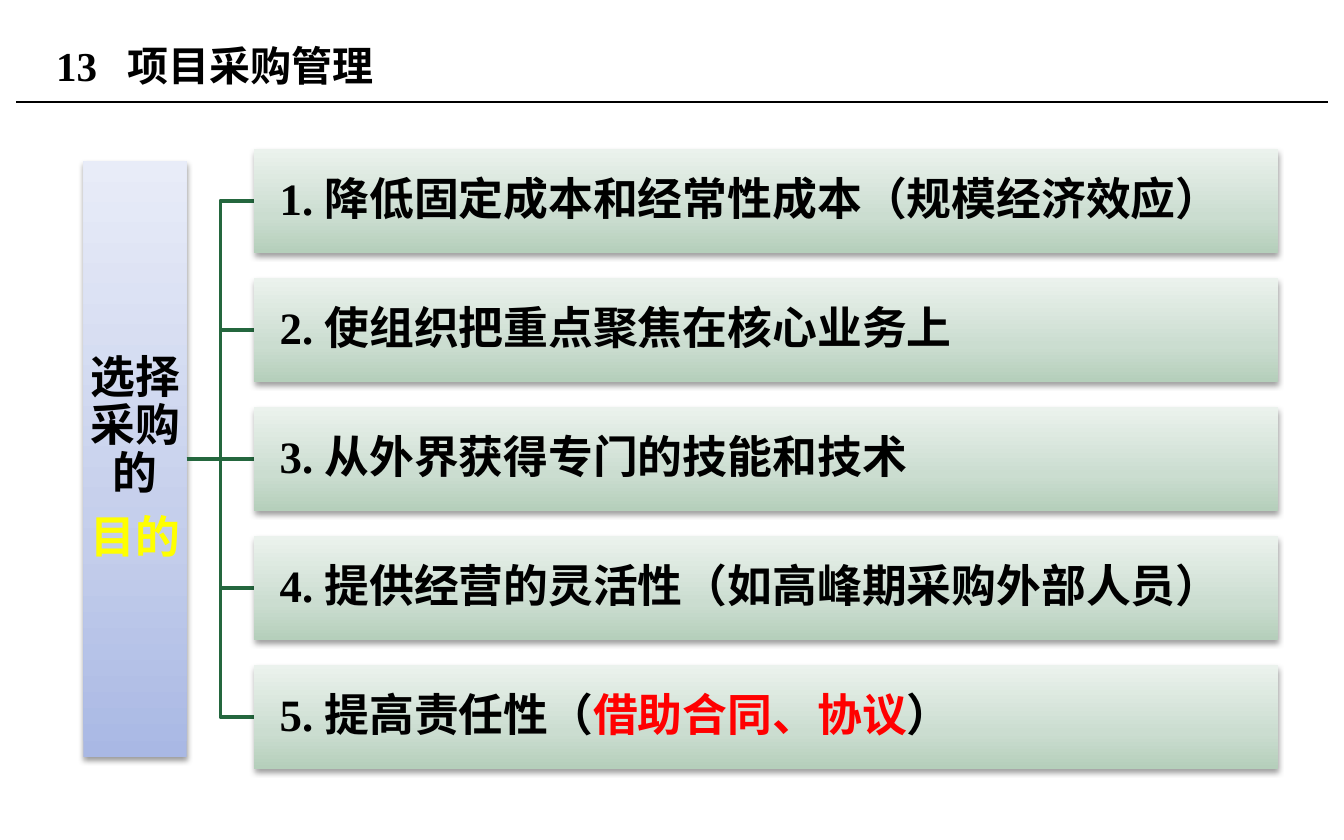
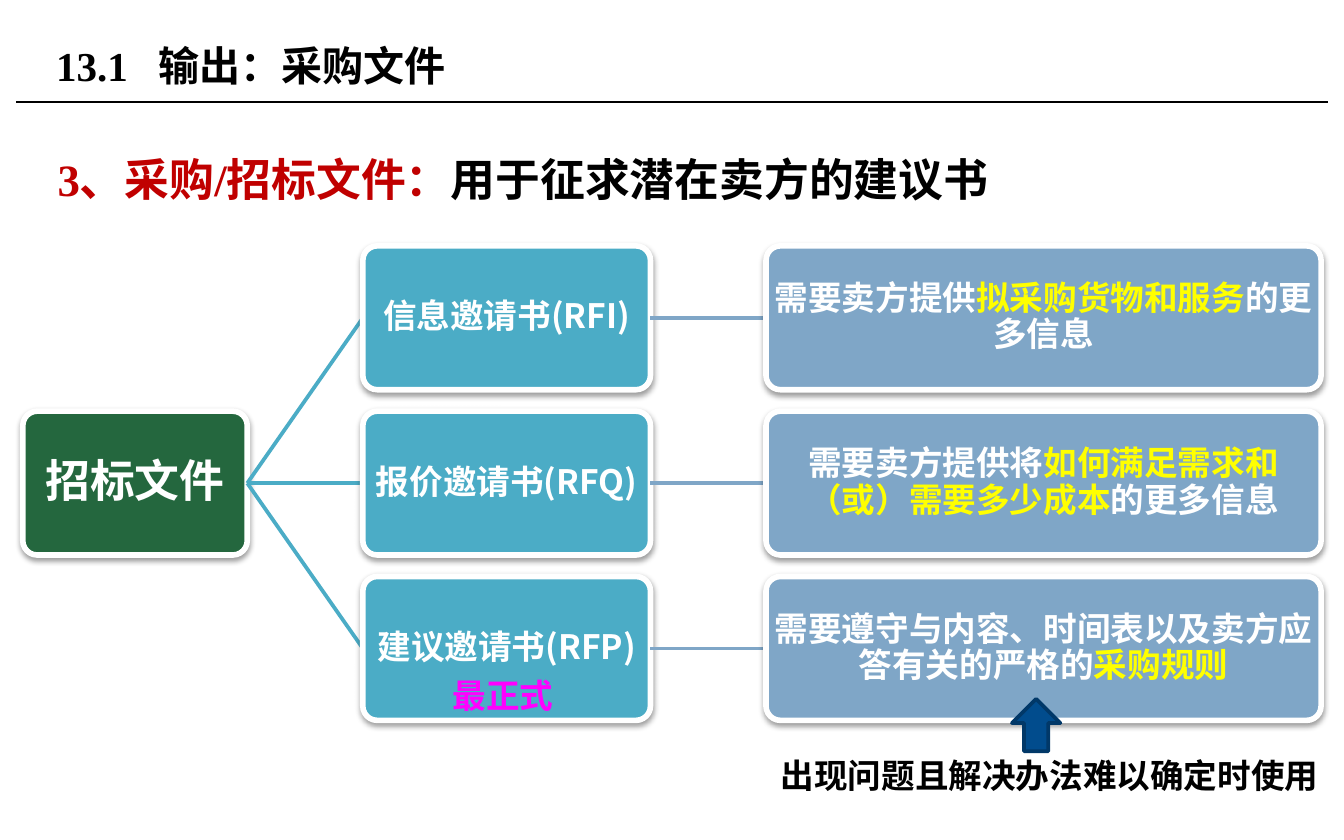
"""Build two slides on project procurement management."""
from copy import deepcopy

from lxml.etree import SubElement
from pptx import Presentation
from pptx.dml.color import RGBColor
from pptx.enum.shapes import MSO_CONNECTOR, MSO_SHAPE
from pptx.enum.text import MSO_ANCHOR, PP_ALIGN
from pptx.oxml.ns import qn
from pptx.util import Inches, Pt

SERIF, SANS = "Times New Roman", "Noto Sans CJK SC"
COLORS = {
    "black": "000000", "white": "FFFFFF", "yellow": "FFFF00", "red": "FF0000",
    "crimson": "C00000", "magenta": "FF00FF", "green": "24673E", "teal": "4BACC6",
    "steel": "7FA6C7", "navy": "014C8D", "navy edge": "013868",
}
GRADIENTS = {
    "blue": ("A9B8E4", "C3CDEB", "E8ECF8"),
    "green": ("B5CFBB", "CBDDD0", "EBF2ED"),
}
GRADIENT_POSITIONS = (0, 0.35, 1)
FONTS = {
    "title": {"name": SERIF, "size": Pt(22), "bold": True},
    "large": {"name": SERIF, "size": Pt(24), "bold": True},
    "small": {"name": SANS, "size": Pt(18), "bold": True},
}
PLAIN = {"alignment": PP_ALIGN.LEFT}
OPEN = {"alignment": PP_ALIGN.LEFT, "line_spacing": 1.5}
LISTED = {"alignment": PP_ALIGN.LEFT, "line_spacing": 0.9}
CENTERED = {"alignment": PP_ALIGN.CENTER, "line_spacing": 0.9, "space_after": Pt(8.4)}
SIDES = ("margin_left", "margin_top", "margin_right", "margin_bottom")
RIGHT, LEFT = 3, 1


def apply(target, values):
    """Set every attribute in values on target."""
    for name, value in values.items():
        setattr(target, name, value)


class Deck:
    """Holds the presentation style and the current slide."""

    def __init__(self):
        """Start an empty presentation of 10 by 6.25 inches."""
        self.presentation = Presentation()
        apply(self.presentation, {"slide_width": Inches(10), "slide_height": Inches(6.25)})
        self.slide = None

    def color(self, name):
        """Return a named colour."""
        return RGBColor.from_string(COLORS[name])

    def new_slide(self, number, title, tab):
        """Add a slide with its rule and numbered title."""
        self.slide = self.presentation.slides.add_slide(self.presentation.slide_layouts[6])
        self.line(MSO_CONNECTOR.STRAIGHT, (0.12, 0.76, 9.88, 0.76), "black", 0.75)
        box = self.text((0.32, 0.13, 6.38, 0.71), [[(f"{number}\t{title}", "black")]],
                        "title", tab=tab)
        box.text_frame.vertical_anchor = MSO_ANCHOR.MIDDLE

    def line(self, kind, ends, color, width):
        """Draw a connector between two points."""
        connector = self.slide.shapes.add_connector(kind, *map(Inches, ends))
        connector.line.color.rgb = self.color(color)
        connector.line.width = Pt(width)
        SubElement(connector._element.spPr, qn("a:effectLst"))
        return connector

    def link(self, start, end, color, kind=MSO_CONNECTOR.STRAIGHT):
        """Join the right of one shape to the left of another, behind the latter."""
        connector = self.line(kind, (0, 0, 1, 1), color, 2)
        connector.begin_connect(start, RIGHT)
        connector.end_connect(end, LEFT)
        end._element.addprevious(connector._element)

    def fill_text(self, frame, paragraphs, font, layout, tab=None):
        """Fill a text frame with paragraphs of coloured runs."""
        frame.word_wrap = True
        for index, runs in enumerate(paragraphs):
            paragraph = frame.add_paragraph() if index else frame.paragraphs[0]
            apply(paragraph, layout)
            if tab:
                tabs = SubElement(paragraph._p.get_or_add_pPr(), qn("a:tabLst"))
                SubElement(tabs, qn("a:tab"), pos=str(Inches(tab)), algn="l")
            for text, color in runs:
                run = paragraph.add_run()
                run.text = text
                apply(run.font, FONTS[font])
                run.font.color.rgb = self.color(color)
                SubElement(run._r.get_or_add_rPr(), qn("a:ea"), typeface=SANS)

    def text(self, place, paragraphs, font, layout=PLAIN, tab=None):
        """Add a text box."""
        box = self.slide.shapes.add_textbox(*map(Inches, place))
        self.fill_text(box.text_frame, paragraphs, font, layout, tab)
        return box

    def shape(self, kind, place, fill=None, line=None, width=0):
        """Add a preset shape without shadow."""
        shape = self.slide.shapes.add_shape(kind, *map(Inches, place))
        shape.shadow.inherit = False
        if fill:
            shape.fill.solid()
            shape.fill.fore_color.rgb = self.color(fill)
        if line:
            shape.line.color.rgb = self.color(line)
            shape.line.width = Pt(width)
        else:
            shape.line.fill.background()
        return shape

    def cast_shadow(self, shape):
        """Give a shape a soft shadow below it."""
        effects = shape._element.spPr.find(qn("a:effectLst"))
        shadow = SubElement(effects, qn("a:outerShdw"), blurRad=str(Pt(3.1)),
                            dist=str(Pt(1.6)), dir="5400000", rotWithShape="0")
        color = SubElement(shadow, qn("a:srgbClr"), val=COLORS["black"])
        SubElement(color, qn("a:alpha"), val="38000")

    def set_margins(self, frame, inset, left=None):
        """Centre the text vertically with narrow margins."""
        apply(frame, dict.fromkeys(SIDES, Inches(inset)))
        if left:
            frame.margin_left = Inches(left)
        frame.vertical_anchor = MSO_ANCHOR.MIDDLE

    def bar(self, place, gradient, paragraphs, layout, left=None):
        """Add a gradient bar with text."""
        shape = self.shape(MSO_SHAPE.RECTANGLE, place)
        shape.fill.gradient()
        shape.fill.gradient_angle = 90
        first = shape._element.spPr.find(".//" + qn("a:gs"))
        first.addnext(deepcopy(first))
        for stop, color, position in zip(shape.fill.gradient_stops, GRADIENTS[gradient],
                                         GRADIENT_POSITIONS):
            stop.color.rgb = RGBColor.from_string(color)
            stop.position = position
        self.cast_shadow(shape)
        self.set_margins(shape.text_frame, 0.02, left)
        self.fill_text(shape.text_frame, paragraphs, "large", layout)
        return shape

    def card(self, place, fill, runs, font="small"):
        """Add a rounded card with a white edge and centred text."""
        shape = self.shape(MSO_SHAPE.ROUNDED_RECTANGLE, place, fill, "white", 3)
        shape.adjustments[0] = 0.1
        self.cast_shadow(shape)
        self.set_margins(shape.text_frame, 0.01)
        self.fill_text(shape.text_frame, [runs], font, CENTERED)
        return shape


def build_purposes(deck):
    """Show the five purposes of procurement."""
    deck.new_slide("13", "项目采购管理", 0.53)
    purposes = [
        [("降低固定成本和经常性成本（规模经济效应）", "black")],
        [("使组织把重点聚焦在核心业务上", "black")],
        [("从外界获得专门的技能和技术", "black")],
        [("提供经营的灵活性（如高峰期采购外部人员）", "black")],
        [("提高责任性（", "black"), ("借助合同、协议", "red"), ("）", "black")],
    ]
    root = deck.bar((0.62, 1.2, 0.77, 4.43), "blue",
                    [[("选择采购的", "black")], [("目的", "yellow")]], CENTERED)
    for index, ((text, color), *rest) in enumerate(purposes):
        runs = [(f"{index + 1}. {text}", color), *rest]
        bar = deck.bar((1.89, 1.11 + 0.96 * index, 7.62, 0.77), "green", [runs], LISTED, 0.19)
        middle = index == len(purposes) // 2
        deck.link(root, bar, "green", MSO_CONNECTOR.STRAIGHT if middle else MSO_CONNECTOR.ELBOW)


def build_documents(deck):
    """Show the three kinds of bidding documents."""
    deck.new_slide("13.1", "输出：采购文件", 0.76)
    deck.text((0.33, 0.88, 8.98, 3.9),
              [[("3、采购/招标文件：", "crimson"), ("用于征求潜在卖方的建议书", "black")]],
              "large", OPEN)
    documents = [
        ("信息邀请书(RFI)", [("需要卖方提供", "white"), ("拟采购货物和服务", "yellow"),
                         ("的更多信息", "white")]),
        ("报价邀请书(RFQ)", [("需要卖方提供将", "white"),
                         ("如何满足需求和（或）需要多少成本", "yellow"),
                         ("的更多信息", "white")]),
        ("建议邀请书(RFP)", [("需要遵守与内容、时间表以及卖方应答有关的严格的", "white"),
                         ("采购规则", "yellow")]),
    ]
    top, pitch, height = 1.83, 1.23, 1.07
    root = deck.card((0.17, top + pitch, 1.67, height), "green", [("招标文件", "white")], "large")
    for index, (name, details) in enumerate(documents):
        row = top + pitch * index
        document = deck.card((2.7, row, 2.14, height), "teal", [(name, "white")])
        detail = deck.card((5.7, row, 4.13, height), "steel", details)
        deck.link(root, document, "teal")
        deck.link(document, detail, "steel")
    deck.text((3.27, 4.97, 1.26, 0.4), [[("最正式", "magenta")]], "small")
    deck.text((5.71, 5.57, 4.29, 0.4), [[("出现问题且解决办法难以确定时使用", "black")]], "small")
    deck.shape(MSO_SHAPE.UP_ARROW, (7.53, 5.2, 0.36, 0.39), "navy", "navy edge", 2)


def main():
    """Build and save the presentation."""
    deck = Deck()
    build_purposes(deck)
    build_documents(deck)
    deck.presentation.save("out.pptx")


if __name__ == "__main__":
    main()
